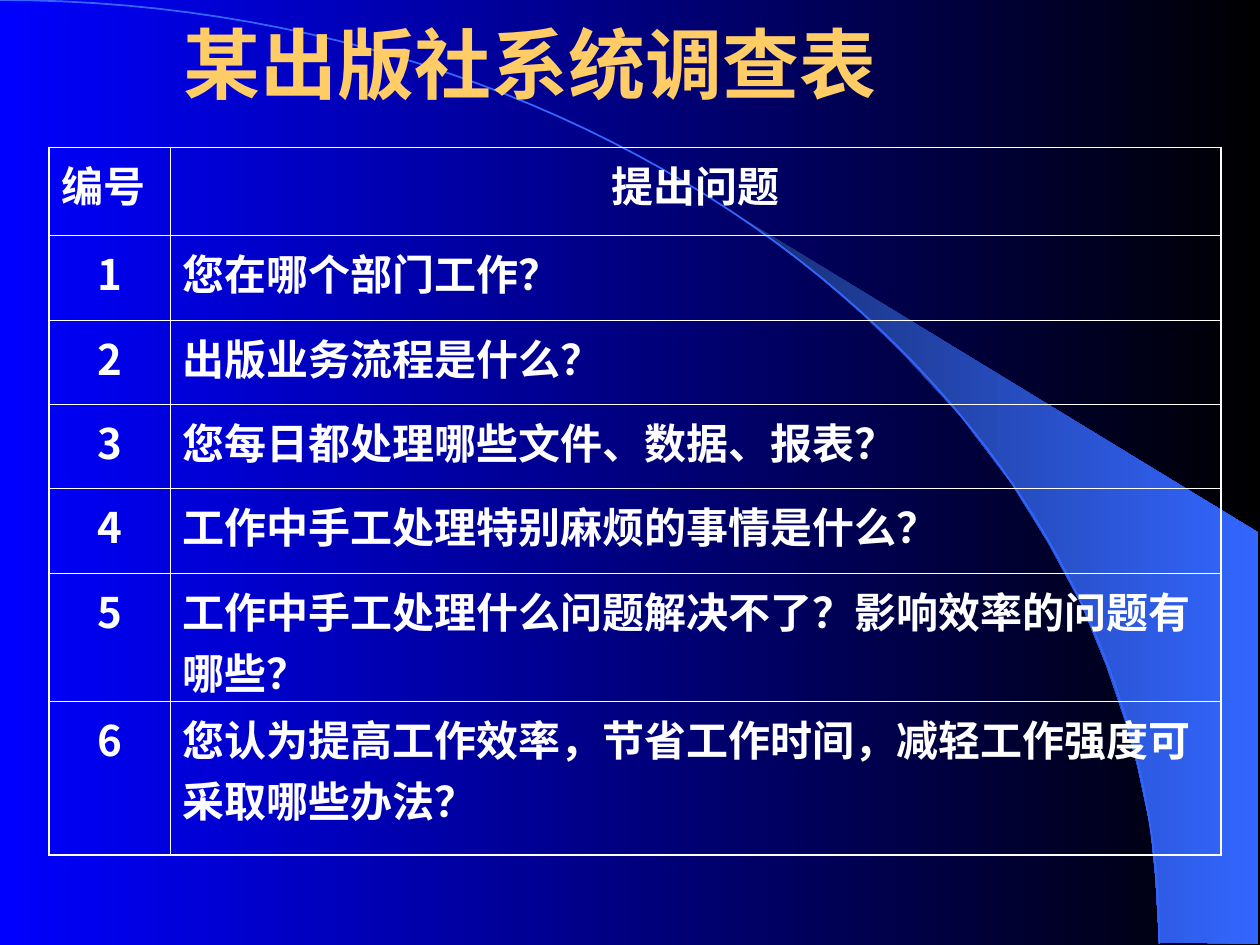
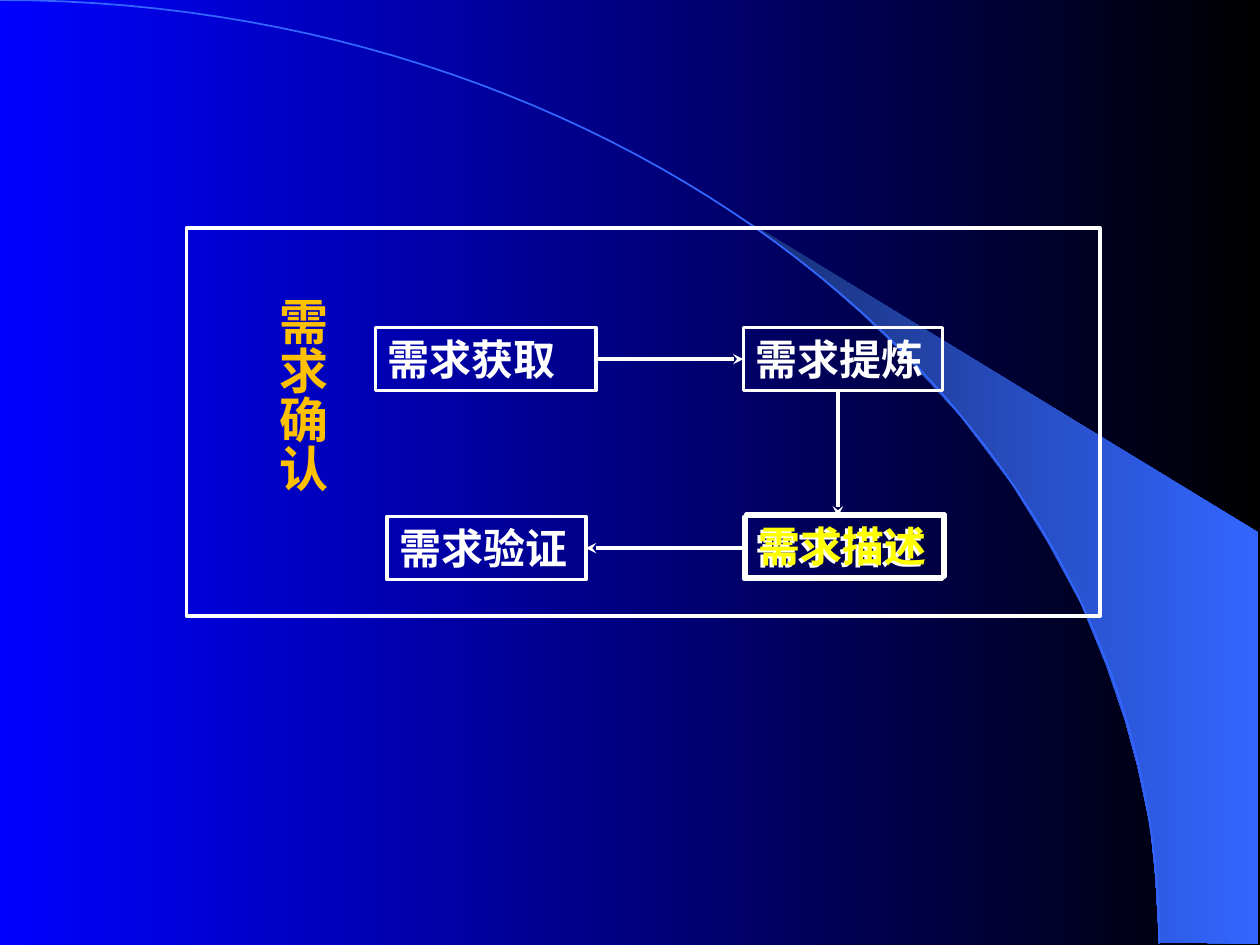
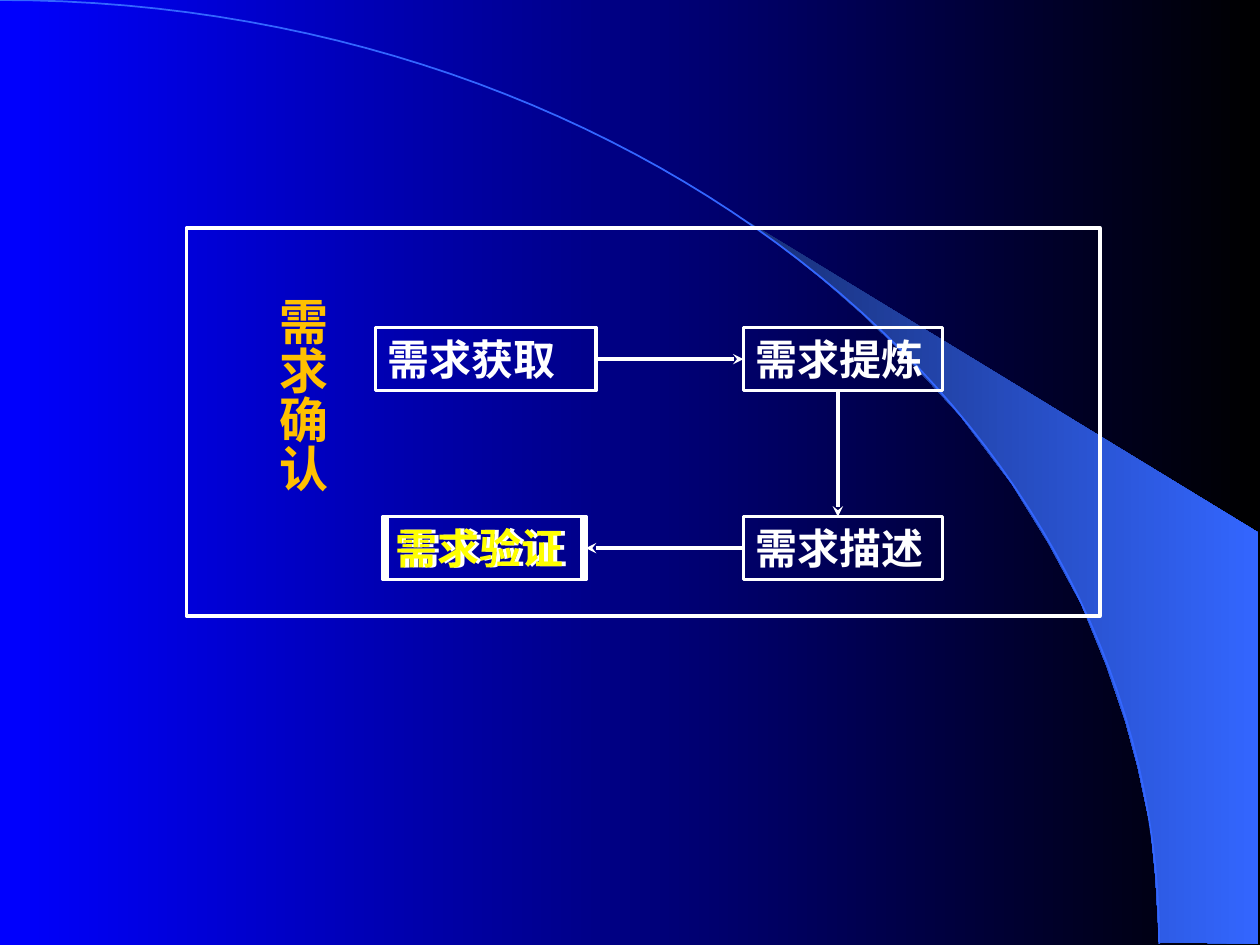
import pptx
import pptx.dml.color
import pptx.enum.shapes
import pptx.enum.text
import pptx.oxml.ns
import pptx.util
from lxml import etree

RGB = pptx.dml.color.RGBColor
BLUE = RGB(0x00, 0x00, 0xFF)
BLACK = RGB(0x00, 0x00, 0x00)
NAVY = RGB(0x18, 0x2F, 0x76)
AZURE = RGB(0x33, 0x66, 0xFF)
WHITE = RGB(0xFF, 0xFF, 0xFF)
SAND = RGB(0xFF, 0xCC, 0x66)
AMBER = RGB(0xFF, 0xC0, 0x00)
YELLOW = RGB(0xFF, 0xFF, 0x00)

SANS = "Noto Sans CJK SC"
SERIF = "Times New Roman"
PX = 9144  # EMU in one px, 100 px to the inch

ALIGN = pptx.enum.text.PP_ALIGN
ANCHOR = pptx.enum.text.MSO_ANCHOR
qn = pptx.oxml.ns.qn

ARC_CONTROLS = [(0, 0), (508, 0), (920, 335), (920, 749)]
ARC_STEPS = 60
WEDGE = [(920, 748), (999, 749), (999, 423), (589, 173), (624, 199), (653, 222),
         (685, 250), (716, 280), (762, 330), (803, 384), (832, 431), (858, 479),
         (878, 528), (893, 572), (903, 609), (913, 656), (917, 696)]

QUESTIONS = [
    "您在哪个部门工作？",
    "出版业务流程是什么？",
    "您每日都处理哪些文件、数据、报表？",
    "工作中手工处理特别麻烦的事情是什么？",
    "工作中手工处理什么问题解决不了？影响效率的问题有哪些？",
    "您认为提高工作效率，节省工作时间，减轻工作强度可采取哪些办法？",
]
COLUMN_WIDTHS = [96, 834]
ROW_HEIGHTS = [70, 67, 67, 67, 67, 102, 122]

STEP_WIDTH, STEP_HEIGHT = 158, 50


def px(*lengths):
    return [round(length * PX) for length in lengths]


def bezier(controls, steps):
    """Points along a cubic curve."""
    for step in range(steps + 1):
        t = step / steps
        weights = ((1 - t) ** 3, 3 * t * (1 - t) ** 2, 3 * t * t * (1 - t), t ** 3)
        yield tuple(sum(w * point[axis] for w, point in zip(weights, controls))
                    for axis in (0, 1))


def shade(fill, start, end):
    """Gradient from left to right."""
    fill.gradient()
    fill.gradient_angle = 0
    for stop, color in zip(fill.gradient_stops, (start, end)):
        stop.color.rgb = color


class Deck:
    def __init__(self):
        self.prs = pptx.Presentation()
        self.prs.slide_width, self.prs.slide_height = px(1000, 750)
        shade(self.prs.slide_master.background.fill, BLUE, BLACK)
        self.slide = None

    def new_slide(self):
        self.slide = self.prs.slides.add_slide(self.prs.slide_layouts[6])
        wedge = self.outline(WEDGE, close=True)
        shade(wedge.fill, NAVY, AZURE)
        wedge.line.fill.background()
        arc = self.outline(list(bezier(ARC_CONTROLS, ARC_STEPS)), close=False)
        arc.fill.background()
        self.stroke(arc, AZURE, 1)

    def outline(self, points, close):
        points = [tuple(px(*point)) for point in points]
        builder = self.slide.shapes.build_freeform(*points[0], scale=1.0)
        builder.add_line_segments(points[1:], close=close)
        shape = builder.convert_to_shape()
        shape.shadow.inherit = False
        return shape

    def stroke(self, shape, color, width):
        shape.line.color.rgb = color
        shape.line.width = pptx.util.Pt(width)

    def set_text(self, frame, text, size, color, font=SANS, align=ALIGN.LEFT):
        frame.text = text
        frame.word_wrap = True
        paragraph = frame.paragraphs[0]
        paragraph.alignment = align
        for run in paragraph.runs:
            run.font.size = pptx.util.Pt(size)
            run.font.bold = True
            run.font.color.rgb = color
            run.font.name = font
            east_asian = etree.SubElement(run.font._element, qn("a:ea"))
            east_asian.set("typeface", SANS)

    def text(self, box, text, size, color, font=SANS, vertical=False):
        label = self.slide.shapes.add_textbox(*px(*box))
        frame = label.text_frame
        self.set_text(frame, text, size, color, font, ALIGN.CENTER)
        frame.vertical_anchor = ANCHOR.MIDDLE
        if vertical:
            label.element.txBody.bodyPr.set("vert", "eaVert")
            frame.margin_left, frame.margin_right = px(5, 5)
            frame.margin_top, frame.margin_bottom = px(10, 10)

    def box(self, bounds, text="", color=WHITE):
        shape = self.slide.shapes.add_shape(
            pptx.enum.shapes.MSO_SHAPE.RECTANGLE, *px(*bounds))
        shape.shadow.inherit = False
        shape.fill.background()
        self.stroke(shape, WHITE, 2)
        if text:
            self.set_text(shape.text_frame, text, 24, color, SERIF)
            shape.text_frame.vertical_anchor = ANCHOR.MIDDLE

    def arrow(self, start, end):
        connector = self.slide.shapes.add_connector(
            pptx.enum.shapes.MSO_CONNECTOR.STRAIGHT, *px(*start, *end))
        self.stroke(connector, WHITE, 2)
        properties = connector.element.spPr
        etree.SubElement(properties.find(qn("a:ln")), qn("a:tailEnd"), type="stealth")
        etree.SubElement(properties, qn("a:effectLst"))

    def table(self, left, top, widths, heights, rows):
        """Unfilled grid with a heavier outer border and a centred first column."""
        table = self.slide.shapes.add_table(
            len(heights), len(widths),
            *px(left, top, sum(widths), sum(heights))).table
        table.first_row = table.horz_banding = False
        for column, width in zip(table.columns, px(*widths)):
            column.width = width
        for row, height in zip(table.rows, px(*heights)):
            row.height = height
        last_row, last_column = len(heights) - 1, len(widths) - 1
        for r, texts in enumerate(rows):
            for c, text in enumerate(texts):
                cell = table.cell(r, c)
                self.borders(cell, {"L": c == 0, "R": c == last_column,
                                    "T": r == 0, "B": r == last_row})
                cell.fill.background()
                centred = (r == 0) != (c == 0)
                self.set_text(cell.text_frame, text, 24, WHITE,
                              align=ALIGN.CENTER if centred else ALIGN.LEFT)

    def borders(self, cell, outer_sides):
        properties = cell._tc.get_or_add_tcPr()
        for side, outer in outer_sides.items():
            width = pptx.util.Pt(1.08 if outer else 0.45)
            line = etree.SubElement(properties, qn("a:ln" + side), w=str(int(width)))
            fill = etree.SubElement(line, qn("a:solidFill"))
            etree.SubElement(fill, qn("a:srgbClr"), val=str(WHITE))


def survey_slide(deck):
    deck.new_slide()
    deck.text((0, 8, 842, 83), "某出版社系统调查表", 44, SAND)
    numbered = [(str(number), question) for number, question in enumerate(QUESTIONS, 1)]
    deck.table(39, 117, COLUMN_WIDTHS, ROW_HEIGHTS, [("编号", "提出问题")] + numbered)


def process_slide(deck, current_step, left, top):
    """Requirements flow with the current step laid over in yellow."""
    deck.new_slide()
    for step, x, y, width in (("需求提炼", 590, 260, STEP_WIDTH),
                              ("需求描述", 590, 410, STEP_WIDTH),
                              ("需求验证", 307, 410, STEP_WIDTH),
                              ("需求获取", 298, 260, 175)):
        deck.box((x, y, width, STEP_HEIGHT), step)
    deck.arrow((473, 285), (590, 285))
    deck.arrow((665, 310), (665, 410))
    deck.arrow((590, 435), (465, 435))
    deck.box((148, 181, 725, 308))
    deck.text((207, 226, 66, 250), "需求确认", 28, AMBER, SERIF, vertical=True)
    deck.box((left, top, STEP_WIDTH, STEP_HEIGHT), current_step, YELLOW)


def main():
    deck = Deck()
    survey_slide(deck)
    process_slide(deck, "需求描述", 592, 408)
    process_slide(deck, "需求验证", 304, 410)
    deck.prs.save("out.pptx")


if __name__ == "__main__":
    main()
